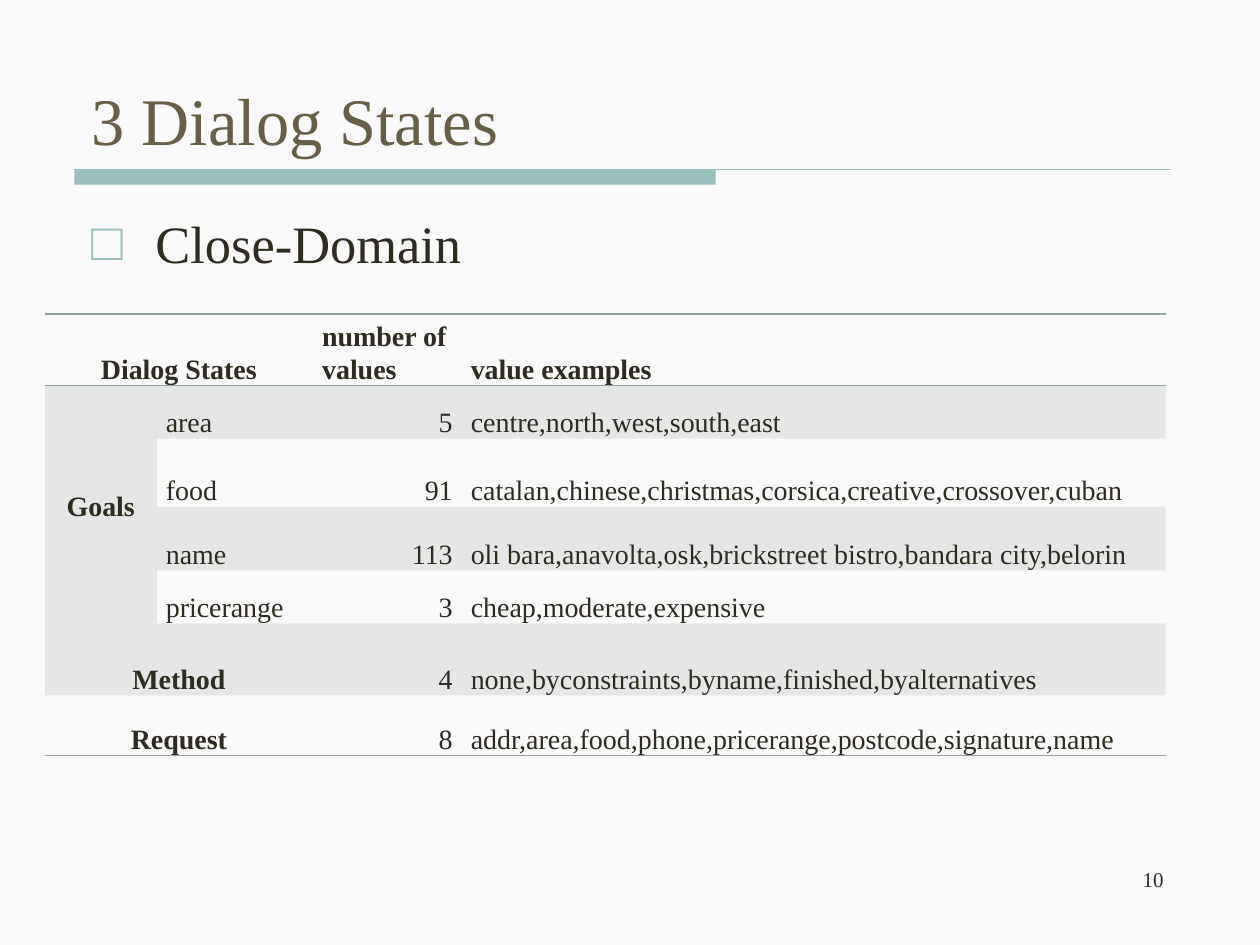
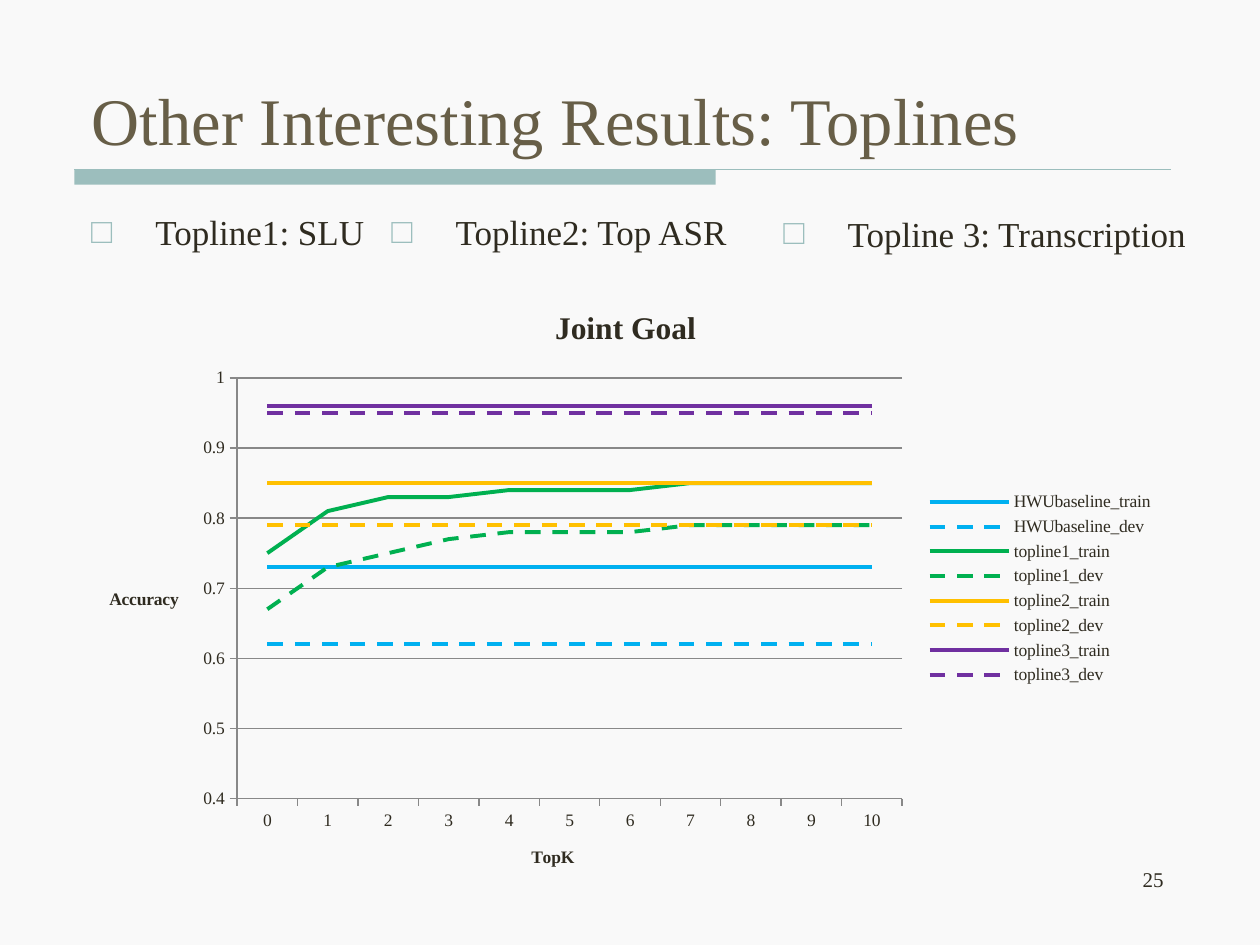
from dataclasses import dataclass

from lxml import etree
from pptx import Presentation
from pptx.chart.data import CategoryChartData
from pptx.dml.color import RGBColor
from pptx.enum.chart import XL_CHART_TYPE, XL_LEGEND_POSITION, XL_TICK_MARK
from pptx.enum.dml import MSO_LINE
from pptx.enum.shapes import MSO_CONNECTOR, MSO_SHAPE
from pptx.enum.text import MSO_ANCHOR, PP_ALIGN
from pptx.oxml.ns import qn
from pptx.util import Pt

LEFT, CENTER, RIGHT = PP_ALIGN.LEFT, PP_ALIGN.CENTER, PP_ALIGN.RIGHT
TOP, MIDDLE, BOTTOM = MSO_ANCHOR.TOP, MSO_ANCHOR.MIDDLE, MSO_ANCHOR.BOTTOM
STRAIGHT, RECTANGLE = MSO_CONNECTOR.STRAIGHT, MSO_SHAPE.RECTANGLE
LINE_CHART, LEGEND_RIGHT = XL_CHART_TYPE.LINE, XL_LEGEND_POSITION.RIGHT
TICK_OUT, TICK_NONE = XL_TICK_MARK.OUTSIDE, XL_TICK_MARK.NONE
DASH = MSO_LINE.DASH
NO_STYLE = "{2D5ABB26-0587-4C30-8999-92F81FD0307C}"


@dataclass(frozen=True)
class Theme:
    font: str = "Times New Roman"
    paper: str = "F9F9F9"
    ink: str = "2F2B20"
    title: str = "675E47"
    accent: str = "9CBEBD"
    sage: str = "95A39D"
    grid: str = "888888"
    blue: str = "00B0F0"
    green: str = "00B050"
    amber: str = "FFC000"
    purple: str = "7030A0"
    title_size: int = 38
    body_size: int = 30
    small_body_size: int = 20
    chart_title_size: int = 18
    table_size: int = 16
    page_size: int = 12
    chart_size: int = 10


def rgb(color):
    return RGBColor.from_string(color)


def add_xml(parent, tag, **attrs):
    return etree.SubElement(parent, qn(tag), {k: str(v) for k, v in attrs.items()})


class Deck:
    def __init__(self, theme):
        self.theme = theme
        self.prs = Presentation()
        self.prs.slide_width, self.prs.slide_height = Pt(720), Pt(540)
        self.slide = None

    def font(self, font, size, color=None, bold=False):
        font.name, font.size, font.bold = self.theme.font, Pt(size), bold
        font.color.rgb = rgb(color or self.theme.ink)

    def new_slide(self, title, page):
        t = self.theme
        self.slide = self.prs.slides.add_slide(self.prs.slide_layouts[6])
        fill = self.slide.background.fill
        fill.solid()
        fill.fore_color.rgb = rgb(t.paper)
        self.title_rule()
        self.text(title, 45.4, 23.8, 630, 70.6, t.title_size, t.title, anchor=BOTTOM)
        self.text(str(page), 516, 491.8, 156, 37.4, t.page_size, align=RIGHT)

    def title_rule(self):
        x, y, color = 42.5, 97, rgb(self.theme.accent)
        line = self.slide.shapes.add_connector(STRAIGHT, Pt(x), Pt(y), Pt(x + 626.4), Pt(y))
        line.line.color.rgb, line.line.width = color, Pt(0.75)
        add_xml(line._element.spPr, "a:effectLst")
        band = self.slide.shapes.add_shape(RECTANGLE, Pt(x), Pt(y), Pt(366.5), Pt(8.6))
        band.shadow.inherit = False
        band.fill.solid()
        band.fill.fore_color.rgb = color
        band.line.fill.background()

    def text(self, text, x, y, w, h, size, color=None, align=LEFT, anchor=TOP):
        box = self.slide.shapes.add_textbox(Pt(x), Pt(y), Pt(w), Pt(h))
        tf = box.text_frame
        tf.word_wrap, tf.vertical_anchor = True, anchor
        p = tf.paragraphs[0]
        p.text, p.alignment = text, align
        self.font(p.font, size, color)
        return p

    def bullet(self, text, x, y, size):
        p = self.text(text, x, y, 630, 368.6, size)
        p.space_before = Pt(0.12 * size)
        pPr = p._p.get_or_add_pPr()
        pPr.set("marL", str(Pt(36.75)))
        pPr.set("indent", str(-Pt(36.75)))
        add_xml(add_xml(pPr, "a:buClr"), "a:srgbClr", val=self.theme.accent)
        add_xml(pPr, "a:buFont", typeface=self.theme.font)
        add_xml(pPr, "a:buChar", char="□")

    def table(self, x, y, widths, heights):
        frame = self.slide.shapes.add_table(
            len(heights), len(widths), Pt(x), Pt(y), Pt(sum(widths)), Pt(sum(heights)))
        table = frame.table
        table.first_row = table.horz_banding = False
        table._tbl.tblPr.find(qn("a:tableStyleId")).text = NO_STYLE
        for column, width in zip(table.columns, widths):
            column.width = Pt(width)
        for row, height in zip(table.rows, heights):
            row.height = Pt(height)
        return table

    def cell(self, cell, text, align, bold, shaded, spacing, anchor=BOTTOM, edges=""):
        """Fill one table cell; edges holds T and/or B for ruled sides."""
        cell.margin_left = cell.margin_right = Pt(5.2)
        cell.margin_top = cell.margin_bottom = 0
        cell.vertical_anchor = anchor
        p = cell.text_frame.paragraphs[0]
        p.text, p.alignment, p.line_spacing = text, align, spacing
        self.font(p.font, self.theme.table_size, bold=bold)
        tcPr = cell._tc.get_or_add_tcPr()
        for edge in edges:
            ln = add_xml(tcPr, f"a:ln{edge}", w=Pt(1))
            add_xml(add_xml(ln, "a:solidFill"), "a:srgbClr", val=self.theme.sage)
        if shaded:
            cell.fill.solid()
            cell.fill.fore_color.rgb = rgb(self.theme.sage)
            color = tcPr.find(qn("a:solidFill")).find(qn("a:srgbClr"))
            add_xml(color, "a:alpha", val=20000)
        else:
            cell.fill.background()

    def axis(self, axis, title):
        axis.has_title = True
        p = axis.axis_title.text_frame.paragraphs[0]
        p.text = title
        self.font(p.font, self.theme.chart_size, bold=True)
        axis.major_tick_mark, axis.minor_tick_mark = TICK_OUT, TICK_NONE
        axis.format.line.color.rgb = rgb(self.theme.grid)
        axis.format.line.width = Pt(0.75)

    def line_chart(self, x, y, w, h, title, categories, series, axis_titles, plot):
        """Draw series given as (name, values, color, dashed); plot is the inner area in points."""
        t = self.theme
        data = CategoryChartData()
        data.categories = categories
        for name, values, _, _ in series:
            data.add_series(name, values)
        chart = self.slide.shapes.add_chart(
            LINE_CHART, Pt(x), Pt(y), Pt(w), Pt(h), data).chart
        self.font(chart.font, t.chart_size)
        chart.has_title = True
        p = chart.chart_title.text_frame.paragraphs[0]
        p.text = title
        self.font(p.font, t.chart_title_size, bold=True)
        chart.has_legend = True
        chart.legend.position = LEGEND_RIGHT
        chart.legend.include_in_layout = False
        self.font(chart.legend.font, t.chart_size)

        cat, val = chart.category_axis, chart.value_axis
        for axis, axis_title in zip((cat, val), axis_titles):
            self.axis(axis, axis_title)
        body = val.axis_title.text_frame._txBody.bodyPr
        body.set("rot", "0")
        body.set("vert", "horz")
        val.minimum_scale, val.maximum_scale, val.major_unit = 0.4, 1, 0.1
        val.tick_labels.number_format = "General"
        val.tick_labels.number_format_is_linked = False
        val.has_major_gridlines = True
        val.major_gridlines.format.line.color.rgb = rgb(t.grid)
        val.major_gridlines.format.line.width = Pt(0.75)

        chart.plots[0].vary_by_categories = False
        for s, (_, _, color, dashed) in zip(chart.plots[0].series, series):
            s.smooth = False
            s.format.line.color.rgb, s.format.line.width = rgb(color), Pt(2.25)
            if dashed:
                s.format.line.dash_style = DASH
        self.place_plot(chart, [part / whole for part, whole in zip(plot, (w, h, w, h))])

    def place_plot(self, chart, shares):
        area = chart._chartSpace.find(".//" + qn("c:plotArea"))
        for old in area.findall(qn("c:layout")):
            area.remove(old)
        layout = etree.Element(qn("c:layout"))
        area.insert(0, layout)
        manual = add_xml(layout, "c:manualLayout")
        add_xml(manual, "c:layoutTarget", val="inner")
        for key in "xy":
            add_xml(manual, f"c:{key}Mode", val="edge")
        for key, share in zip("xywh", shares):
            add_xml(manual, f"c:{key}", val=share)


def dialog_states(deck):
    deck.new_slide("3 Dialog States", 10)
    deck.bullet("Close-Domain", 45, 117, deck.theme.body_size)
    rows = [
        ("Dialog States", "", "number of values", "value examples"),
        ("Goals", "area", "5", "centre,north,west,south,east"),
        ("", "food", "91", "catalan,chinese,christmas,corsica,creative,crossover,cuban"),
        ("", "name", "113", "oli bara,anavolta,osk,brickstreet bistro,bandara city,belorin"),
        ("", "pricerange", "3", "cheap,moderate,expensive"),
        ("Method", "", "4", "none,byconstraints,byname,finished,byalternatives"),
        ("Request", "", "8", "addr,area,food,phone,pricerange,postcode,signature,name"),
    ]
    table = deck.table(25.6, 179.3, (64, 89.3, 85, 402.3),
                       (40.6, 30.3, 38.9, 36.4, 30.3, 41.2, 34.2))
    edges = {0: "TB", len(rows) - 1: "B"}
    for i, row in enumerate(rows):
        for j, text in enumerate(row):
            goals = j == 0 and 1 <= i <= 4
            align = CENTER if j == 0 else RIGHT if j == 2 and i else LEFT
            deck.cell(table.cell(i, j), text, align, bold=i == 0 or j == 0,
                      shaded=goals or i % 2 == 1, spacing=1.15 if i else 1.07,
                      anchor=MIDDLE if goals else BOTTOM, edges=edges.get(i, ""))
    table.cell(1, 0).merge(table.cell(4, 0))
    for i in (0, 5, 6):
        table.cell(i, 0).merge(table.cell(i, 1))


def toplines(deck):
    t = deck.theme
    deck.new_slide("Other Interesting Results: Toplines", 25)
    for text, x, y in (("Topline1: SLU", 45, 116.6),
                       ("Topline2: Top ASR", 216.5, 116.6),
                       ("Topline 3: Transcription", 440.5, 117.7)):
        deck.bullet(text, x, y, t.small_body_size)

    top_k = range(11)

    def flat(value):
        return [value] * len(top_k)

    systems = [
        ("HWUbaseline", t.blue, flat(0.73), flat(0.62)),
        ("topline1", t.green,
         [0.75, 0.81, 0.83, 0.83, 0.84, 0.84, 0.84, 0.85, 0.85, 0.85, 0.85],
         [0.67, 0.73, 0.75, 0.77, 0.78, 0.78, 0.78, 0.79, 0.79, 0.79, 0.79]),
        ("topline2", t.amber, flat(0.85), flat(0.79)),
        ("topline3", t.purple, flat(0.96), flat(0.95)),
    ]
    series = []
    for name, color, train, dev in systems:
        series += [(f"{name}_train", train, color, False),
                   (f"{name}_dev", dev, color, True)]
    deck.line_chart(48.2, 162, 618.5, 348.5, "Joint Goal", [str(k) for k in top_k],
                    series, ("TopK", "Accuracy"), plot=(87.3, 54, 380, 240.4))


def main():
    deck = Deck(Theme())
    dialog_states(deck)
    toplines(deck)
    deck.prs.save("out.pptx")


if __name__ == "__main__":
    main()
